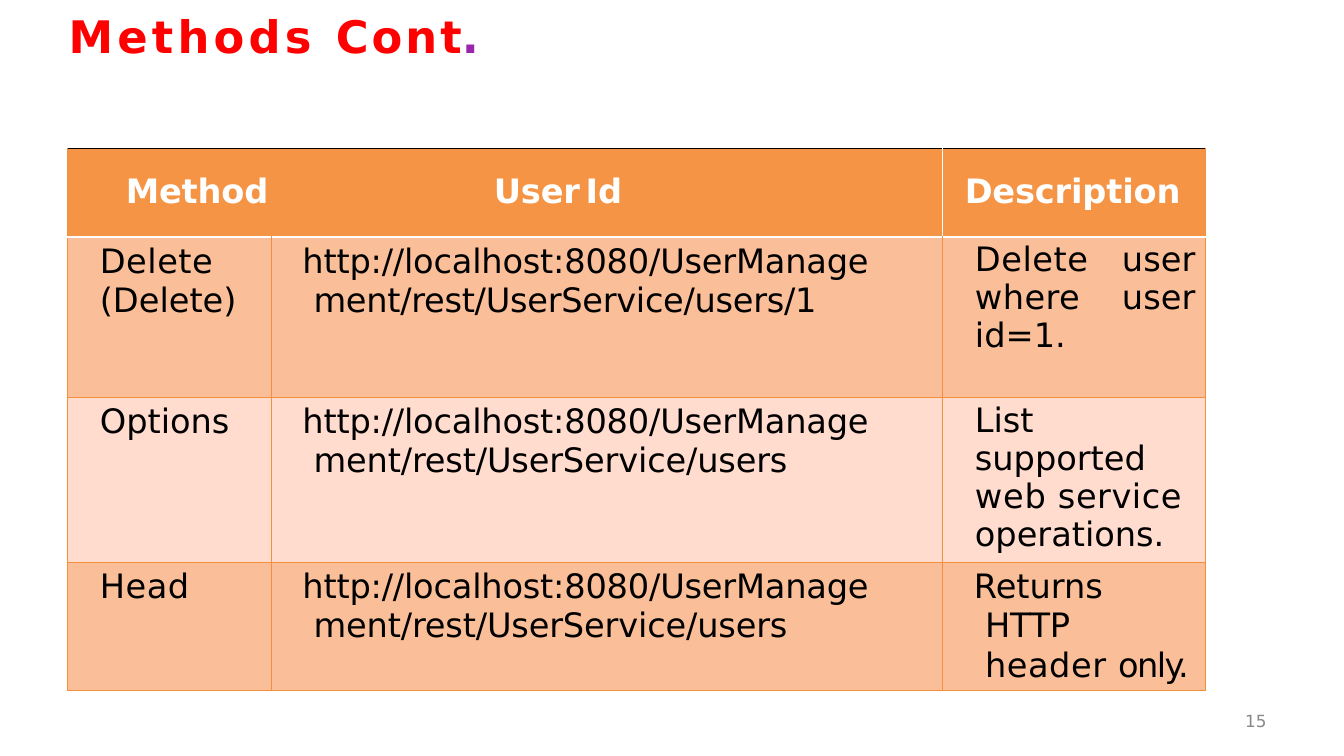
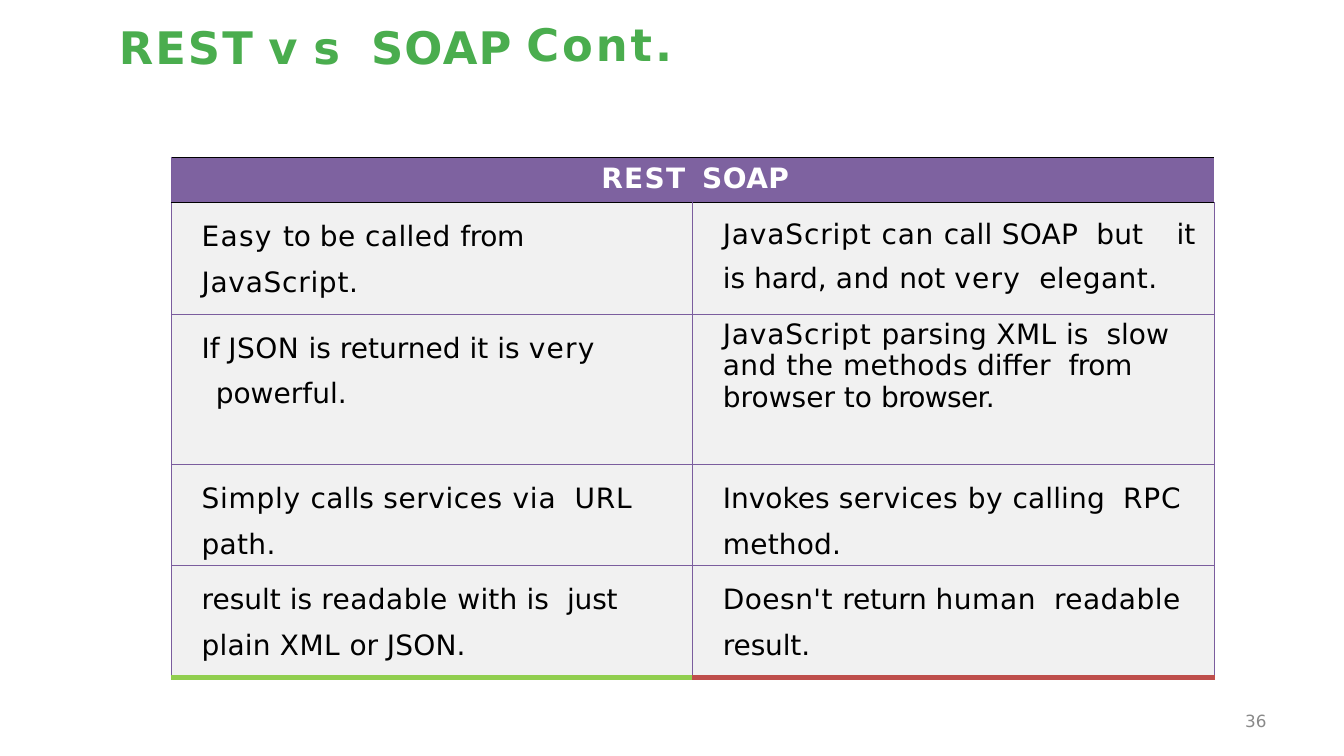
from dataclasses import dataclass

from lxml import etree
from pptx import Presentation
from pptx import util as u
from pptx.dml.color import RGBColor
from pptx.enum import text
from pptx.oxml.ns import qn

EMU_PER_PX = 9144  # 100 px to the inch


def px(length):
    return u.Emu(length * EMU_PER_PX)


@dataclass(frozen=True)
class Theme:
    font: str = "DejaVu Sans"
    gap_font: str = "Calibri"
    title_size: int = 32
    large_size: int = 24
    body_size: int = 20
    gap_size: int = 18
    number_size: int = 12
    red: str = "FF0000"
    magenta: str = "9A25AE"
    green: str = "4AAD4E"
    black: str = "000000"
    white: str = "FFFFFF"
    gray: str = "898989"
    orange: str = "F59444"
    orange_line: str = "F3903E"
    peach: str = "FABF99"
    blush: str = "FFDCCE"
    purple: str = "7E62A0"
    purple_line: str = "7B5D9E"
    pale: str = "F1F1F1"
    lime: str = "90CE4E"
    brick: str = "BE4E4B"


THEME = Theme()
WIDE_SPACE = (" ", 6.4)  # one space, widened by character spacing


def write(frame, runs, *, size=THEME.body_size, color=THEME.black, bold=False,
          font=THEME.font, align=None, margin=0, indent=0, pitch=None,
          before=None, tabs=()):
    """Write runs of (text, spacing in points, optional format changes)."""
    paragraph = frame.paragraphs[0]
    paragraph.alignment = align
    if pitch:
        paragraph.line_spacing = pitch if pitch < 2 else u.Pt(pitch)
    if before is not None:
        paragraph.space_before = u.Pt(before)
    properties = paragraph._p.get_or_add_pPr()
    properties.set("marL", str(px(margin)))
    properties.set("indent", str(px(indent)))
    if tabs:
        tab_list = etree.SubElement(properties, qn("a:tabLst"))
        for position in tabs:
            etree.SubElement(tab_list, qn("a:tab"), pos=str(px(position)), algn="l")
    base = dict(size=size, color=color, bold=bold, font=font)
    for words, spacing, *changes in runs:
        style = {**base, **(changes[0] if changes else {})}
        run = paragraph.add_run()
        run.text = words
        run.font.name = style["font"]
        run.font.size = u.Pt(style["size"])
        run.font.bold = style["bold"]
        run.font.color.rgb = RGBColor.from_string(style["color"])
        run._r.get_or_add_rPr().set("spc", str(round(spacing * 100)))


def draw_borders(cell, **lines):
    """Set cell borders; each line is (colour, width in points)."""
    properties = cell._tc.get_or_add_tcPr()
    sides = [side for side in ("L", "R", "T", "B") if lines.get(side)]
    for index, side in enumerate(sides):
        color, width = lines[side]
        line = etree.Element(qn(f"a:ln{side}"), w=str(u.Pt(width)))
        fill = etree.SubElement(line, qn("a:solidFill"))
        etree.SubElement(fill, qn("a:srgbClr"), val=color)
        properties.insert(index, line)


class Deck:
    def __init__(self, theme):
        self.theme = theme
        self.presentation = Presentation()
        self.presentation.slide_width = px(1333)
        self.presentation.slide_height = px(750)
        self.slide = None

    def new_slide(self, number):
        layout = self.presentation.slide_layouts.get_by_name("Title Only")
        self.slide = self.presentation.slides.add_slide(layout)
        self.text_box(1231, 705, 30, 20, [(str(number), 0)], inset=(0, 0),
                      size=self.theme.number_size, color=self.theme.gray, margin=4)

    def title(self, left, top, width, runs, **style):
        shape = self.slide.shapes.title
        shape.left, shape.top, shape.width, shape.height = map(px, (left, top, width, 127))
        self.prepare(shape.text_frame, 0, 1)
        write(shape.text_frame, runs, size=self.theme.title_size, bold=True,
              align=text.PP_ALIGN.LEFT, margin=1, before=1, **style)

    def text_box(self, left, top, width, height, runs, inset=(10, 5), **style):
        shape = self.slide.shapes.add_textbox(*map(px, (left, top, width, height)))
        self.prepare(shape.text_frame, *inset)
        write(shape.text_frame, runs, **style)

    def prepare(self, frame, side, top):
        frame.word_wrap = True
        frame.auto_size = text.MSO_AUTO_SIZE.NONE
        frame.vertical_anchor = text.MSO_ANCHOR.TOP
        frame.margin_left = frame.margin_right = px(side)
        frame.margin_top = px(top)
        frame.margin_bottom = px(0 if side == 0 else top)

    def table(self, left, top, widths, heights, cells, fills, rules, side_line,
              header_end):
        """Draw a table whose first two header cells are merged.

        rules holds the horizontal lines from top to bottom, one per column.
        """
        frame = self.slide.shapes.add_table(
            len(heights), len(widths), px(left), px(top),
            px(sum(widths)), px(sum(heights)))
        table = frame.table
        table.horz_banding = False
        for column, width in zip(table.columns, widths):
            column.width = px(width)
        for row, height in zip(table.rows, heights):
            row.height = px(height)
        table.cell(0, 0).merge(table.cell(0, 1))
        last = len(widths) - 1
        for r, fill in enumerate(fills):
            for c in range(len(widths)):
                cell = table.cell(r, c)
                cell.fill.solid()
                cell.fill.fore_color.rgb = RGBColor.from_string(fill)
                end = header_end if r == 0 and c == last else side_line
                draw_borders(cell,
                             L=None if cell.is_spanned else side_line,
                             R=None if cell.is_merge_origin else end,
                             T=rules[r][c], B=rules[r + 1][c])
                if (r, c) in cells:
                    runs, style = cells[r, c]
                    write(cell.text_frame, runs, **style)


def methods_slide(deck):
    theme = deck.theme
    deck.new_slide(15)
    deck.title(67, 8, 444, [
        ("Methods ", 3), ("Con", 2.1), ("t", 0), (".", 0, {"color": theme.magenta}),
    ], color=theme.red)

    # Table of methods
    large = dict(size=theme.large_size)
    name = dict(large, margin=22, pitch=28)
    hanging = dict(large, margin=32, indent=-11, pitch=28)
    note = dict(large, margin=22, pitch=27.1)
    address = [("http://localhost:8080/UserManag", -0.15), ("e ", 0)]
    users = "ment/rest/UserService/users"
    cells = {
        (1, 0): ([("Delete ", 0.4), ("(Delete)", 0)], name),
        (1, 1): (address + [(users + "/1", -0.2)], hanging),
        (1, 2): ([("Delete ", 0.4), ("user ", 0.1), ("where ", 0.3),
                  ("user ", 0.1), ("id=1.", 0)],
                 dict(note, align=text.PP_ALIGN.JUSTIFY)),
        (2, 0): ([("Options", 0)], name),
        (2, 1): (address + [(users, -0.1)], hanging),
        (2, 2): ([("List supported ", 0), ("web ", 0.5), ("service ", 0.4),
                  ("operations.", 0)], note),
        (3, 0): ([("Head", 0.4)], dict(large, margin=22)),
        (3, 1): (address + [(users, -0.1)], hanging),
        (3, 2): ([("Returns ", 0), ("HTTP ", -0.2), ("header ", 0.4),
                  ("only.", -1.1)], hanging),
    }
    thin = (theme.orange_line, 0.75)
    rules = [[line] * 3 for line in
             ((theme.black, 0.75), (theme.white, 2.21), thin, thin, thin)]
    deck.table(67, 147, (202, 666, 261), (88, 159, 164, 126), cells,
               (theme.orange, theme.peach, theme.blush, theme.peach),
               rules, thin, thin)

    # Column headings over the header row
    gap = (" ", 0, dict(font=theme.gap_font, size=theme.gap_size, bold=False))
    headings = (
        (947, 235, [("Description", -0.1)]),
        (480, 167, [("User", -0.1), gap, ("Id", 0)]),
        (115, 187, [("Method", -0.1)]),
    )
    for left, width, runs in headings:
        deck.text_box(left, 164, width, 50, runs, size=theme.large_size,
                      color=theme.white, bold=True)


def comparison_slide(deck):
    theme = deck.theme
    deck.new_slide(36)
    deck.title(117, 19, 855, [
        ("RES", 1.4), ("T v s\t", 0), ("S", 0.8), ("O", 0.1), ("A", 0.8), ("P", 0),
    ], color=theme.green, tabs=(246,))
    deck.text_box(522, 20, 145, 50, [("Cont", 2.1), (".", 0)], inset=(0, 0),
                  size=theme.title_size, color=theme.green, bold=True, pitch=36.1)

    # Comparison table
    body = dict(margin=20, pitch=32.5)
    cells = {
        (0, 0): ([("REST\t", 0.9), ("SOAP", 0.3)],
                 dict(color=theme.white, bold=True, margin=4, tabs=(600,),
                      align=text.PP_ALIGN.CENTER)),
        (1, 0): ([("Easy ", 0.9), ("to ", -0.1), ("be called ", 0.3),
                  ("from ", -0.3), ("JavaScript.", 0.5)], body),
        (1, 1): ([("JavaScript ", 0.6), ("can ", 0.5), ("call ", 0.1),
                  ("SOAP", 0.2), WIDE_SPACE, ("but\t", 0.1), ("it is hard, ", 0),
                  ("and ", 0.3), ("not ", 0), ("very", 0.9), WIDE_SPACE,
                  ("elegant.", 0.3)], dict(body, pitch=31.2, tabs=(111,))),
        (2, 0): ([("If ", -0.1), ("JSON ", 0.3), ("is returned it is ", 0),
                  ("very ", 0.9), ("powerful.", 0)],
                 dict(body, margin=34, indent=-14)),
        (2, 1): ([("JavaScript ", 0.6), ("parsing ", 0.1), ("XML ", 0.3),
                  ("is", 0), WIDE_SPACE, ("slow ", 0), ("and the ", 0.3),
                  ("methods ", 0.2), ("differ", -0.1), WIDE_SPACE,
                  ("from ", -0.3), ("browser to ", 0), ("browser.", -0.5)],
                 dict(body, pitch=0.96)),
        (3, 0): ([("Simply ", 0.5), ("calls ", 0.1), ("services ", 0.4),
                  ("via", 0.6), WIDE_SPACE, ("URL ", 0.6), ("path.", 0.2)], body),
        (3, 1): ([("Invokes ", 0), ("services ", 0.4), ("by ", 0.3),
                  ("calling", 0.1), WIDE_SPACE, ("RPC ", 0.6),
                  ("method.", 0.1)], body),
        (4, 0): ([("result is ", 0), ("readable ", 0.3), ("with ", 0.1),
                  ("is", 0), WIDE_SPACE, ("just\t", -0.1), ("plain ", 0.1),
                  ("XML ", 0.3), ("or ", -0.1), ("JSON.", 0.1)],
                 dict(body, tabs=(115,))),
        (4, 1): ([("Doesn't ", 0.3), ("return ", -0.2), ("human", 0.4),
                  WIDE_SPACE, ("readable ", 0.3), ("result.", -0.1)], body),
    }
    thin = (theme.purple_line, 0.75)
    dark = (theme.black, 0.75)
    rules = [[line] * 2 for line in (dark, dark, thin, thin, thin)]
    rules.append([(theme.lime, 4.25), (theme.brick, 4.25)])
    deck.table(170, 156, (517, 518), (45, 111, 149, 100, 111), cells,
               [theme.purple] + [theme.pale] * 4, rules, thin, dark)


def main():
    deck = Deck(THEME)
    methods_slide(deck)
    comparison_slide(deck)
    deck.presentation.save("out.pptx")


if __name__ == "__main__":
    main()
